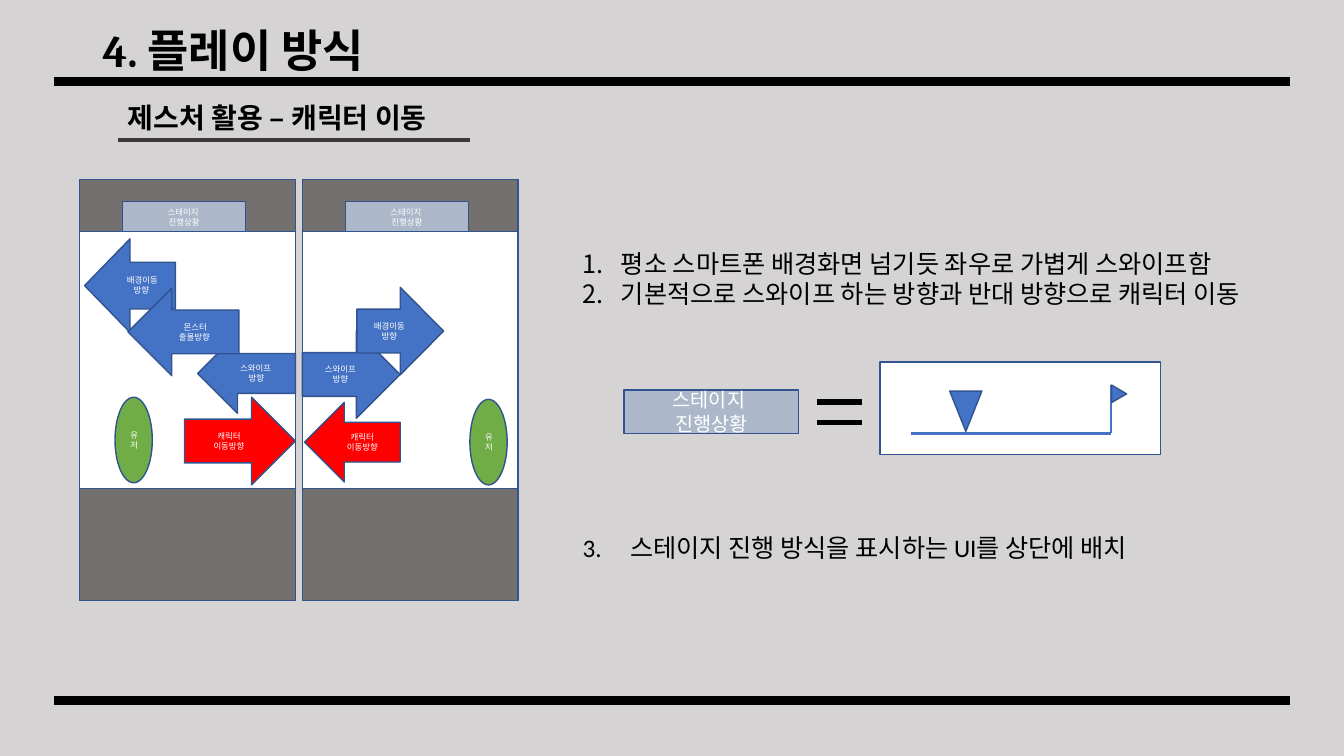
from dataclasses import dataclass

from lxml import etree
from pptx import Presentation
from pptx import util as u
from pptx.dml.color import RGBColor
from pptx.enum import shapes, text
from pptx.oxml import ns

WIDTH, HEIGHT = 13.33, 7.5
COLOURS = {
    "page": "D5D3D3", "ink": "000000", "paper": "FFFFFF", "frame": "757070",
    "outline": "31538F", "blue": "4472C4", "red": "FF0000", "green": "70AD47",
    "stage": "ACB8CA", "underline": "3A3838",
}
SHAPE = shapes.MSO_SHAPE
LEFT, RIGHT = SHAPE.LEFT_ARROW, SHAPE.RIGHT_ARROW
STAGE_LABEL = "스테이지 \n진행상황"


@dataclass
class Box:
    """A region of the page in inches."""
    left: float
    top: float
    width: float
    height: float

    def point(self, across, down):
        """Return the point at these percentages of the region."""
        return (self.left + self.width * across / 100,
                self.top + self.height * down / 100)

    def area(self, across, down, width, height):
        """Return the sub-region at these percentages of the region."""
        return Box(*self.point(across, down),
                   self.width * width / 100, self.height * height / 100)

    def emu(self):
        """Return the region as lengths for python-pptx."""
        return [u.Inches(n) for n in (self.left, self.top, self.width, self.height)]


def colour(name):
    """Return the named colour."""
    return RGBColor.from_string(COLOURS[name])


def style(para, size, font, ink="ink", bold=False):
    """Set the font of a paragraph."""
    para.font.size = u.Pt(size)
    para.font.name = font
    para.font.bold = bold
    para.font.color.rgb = colour(ink)


def add_figure(page, kind, box, fill, label="", size=6, font="Cambria", turn=0):
    """Add an outlined shape with an optional centred label."""
    figure = page.shapes.add_shape(kind, *box.emu())
    figure.shadow.inherit = False
    figure.rotation = turn
    figure.fill.solid()
    figure.fill.fore_color.rgb = colour(fill)
    figure.line.color.rgb = colour("outline")
    figure.line.width = u.Pt(1)
    if label:
        figure.text_frame.vertical_anchor = text.MSO_ANCHOR.MIDDLE
        para = figure.text_frame.paragraphs[0]
        para.text = label
        para.alignment = text.PP_ALIGN.CENTER
        style(para, size, font, "paper")


def add_line(page, start, end, ink, weight):
    """Add a straight line between two points."""
    ends = [u.Inches(n) for n in (*start, *end)]
    line = page.shapes.add_connector(shapes.MSO_CONNECTOR.STRAIGHT, *ends)
    line.line.color.rgb = colour(ink)
    line.line.width = u.Pt(weight)
    etree.SubElement(line._element.spPr, ns.qn("a:effectLst"))


def add_text(page, box, lines, size, font="Calibri", bold=False, hang=0, numbered=False):
    """Add a text box with one paragraph per line and return its frame."""
    frame = page.shapes.add_textbox(*box.emu()).text_frame
    frame.word_wrap = True
    for index, line in enumerate(lines):
        para = frame.add_paragraph() if index else frame.paragraphs[0]
        para.text = line
        if hang:
            properties = para._p.get_or_add_pPr()
            properties.set("marL", str(u.Inches(hang)))
            properties.set("indent", str(-u.Inches(hang)))
            if numbered:
                etree.SubElement(properties, ns.qn("a:buFont"), typeface="+mj-lt")
                etree.SubElement(properties, ns.qn("a:buAutoNum"), type="arabicPeriod")
        style(para, size, font, bold=bold)
    return frame


def add_heading(page, box):
    """Add the rules, title and underlined subtitle."""
    for down in (10.8, 92.67):
        add_line(page, box.point(4, down), box.point(96, down), "ink", 6)
    title = add_text(page, box.area(6.9, 2.93, 86.27, 8.27), ["4. 플레이 방식"],
                     32, "Cambria", True)
    title.vertical_anchor = text.MSO_ANCHOR.MIDDLE
    title.paragraphs[0].line_spacing = 0.9
    add_text(page, box.area(8.78, 12.67, 25.5, 5.87),
             ["제스처 활용 – 캐릭터 이동"], 20, bold=True)
    add_line(page, box.point(8.78, 18.53), box.point(34.96, 18.53), "underline", 2.75)


def add_phone(page, box, marks):
    """Add a phone screen with its stage bar and gesture marks."""
    add_figure(page, SHAPE.RECTANGLE, box, "paper")
    for down, height in ((0, 12.44), (73.44, 26.56)):
        add_figure(page, SHAPE.RECTANGLE, box.area(0, down, 100, height), "frame")
    add_figure(page, SHAPE.RECTANGLE, box.area(19.9, 5.26, 57, 7.18), "stage", STAGE_LABEL)
    for kind, place, fill, label in marks:
        add_figure(page, kind, box.area(*place), fill, label)


def add_progress(page, box):
    """Add the stage label, equals sign and progress panel."""
    add_figure(page, SHAPE.RECTANGLE, box.area(47.7, 0, 52.3, 100), "paper")
    add_line(page, box.point(90.8, 77.2), box.point(90.8, 25), "blue", 1.75)
    add_figure(page, SHAPE.ISOSCELES_TRIANGLE, box.area(90, 23.9, 3.2, 16.3), "blue", turn=330)
    add_line(page, box.point(53.4, 77.2), box.point(90.8, 77.2), "blue", 2.75)
    add_figure(page, SHAPE.ISOSCELES_TRIANGLE, box.area(60.7, 31.5, 6, 43.5), "blue", turn=180)
    add_figure(page, SHAPE.RECTANGLE, box.area(0, 30.4, 32.5, 46.7), "stage",
               STAGE_LABEL, 14, "Calibri")
    for down in (43.5, 65.2):
        add_line(page, box.point(35.9, down), box.point(44.4, down), "ink", 4)


def add_notes(page, box):
    """Add the numbered explanations."""
    add_text(page, box.area(0, 0, 100, 31.4),
             ["평소 스마트폰 배경화면 넘기듯 좌우로 가볍게 스와이프함",
              "기본적으로 스와이프 하는 방향과 반대 방향으로 캐릭터 이동"],
             18, hang=0.38, numbered=True)
    add_text(page, box.area(0, 87.6, 81.5, 12.4),
             ["3.\t스테이지 진행 방식을 표시하는 UI를 상단에 배치"], 18, hang=0.47)


def main():
    """Build and save the slide."""
    deck = Presentation()
    deck.slide_width, deck.slide_height = u.Inches(WIDTH), u.Inches(HEIGHT)
    page = deck.slides.add_slide(deck.slide_layouts[6])
    page.background.fill.solid()
    page.background.fill.fore_color.rgb = colour("page")
    swipe_left = [
        (SHAPE.OVAL, (16.4, 51.7, 17.3, 20.3), "green", "유저"),
        (LEFT, (54.7, 36.6, 45.3, 18.9), "blue", "스와이프 \n방향"),
        (RIGHT, (48.6, 51.7, 51.4, 20.8), "red", "캐릭터\n이동방향"),
        (LEFT, (2.3, 14.1, 42.1, 22.2), "blue", " 배경이동\n방향"),
        (LEFT, (22.4, 25.8, 51.4, 20.8), "blue", " 몬스터\n출몰방향"),
    ]
    swipe_right = [
        (SHAPE.OVAL, (77.6, 52.2, 17.3, 20.3), "green", "유저"),
        (LEFT, (0.9, 52.9, 44.4, 18.9), "red", "캐릭터\n이동방향"),
        (RIGHT, (0, 35.9, 45.3, 20.8), "blue", "스와이프\n방향"),
        (RIGHT, (25.2, 25.6, 40.2, 20.8), "blue", "배경이동\n방향"),
    ]
    add_heading(page, Box(0, 0, WIDTH, HEIGHT))
    for left, marks in ((0.79, swipe_left), (3, swipe_right)):
        add_phone(page, Box(left, 1.78, 2.14, 4.18), marks)
    add_progress(page, Box(6.19, 3.59, 5.32, 0.92))
    add_notes(page, Box(5.68, 2.41, 7.55, 3.22))
    deck.save("out.pptx")


if __name__ == "__main__":
    main()
